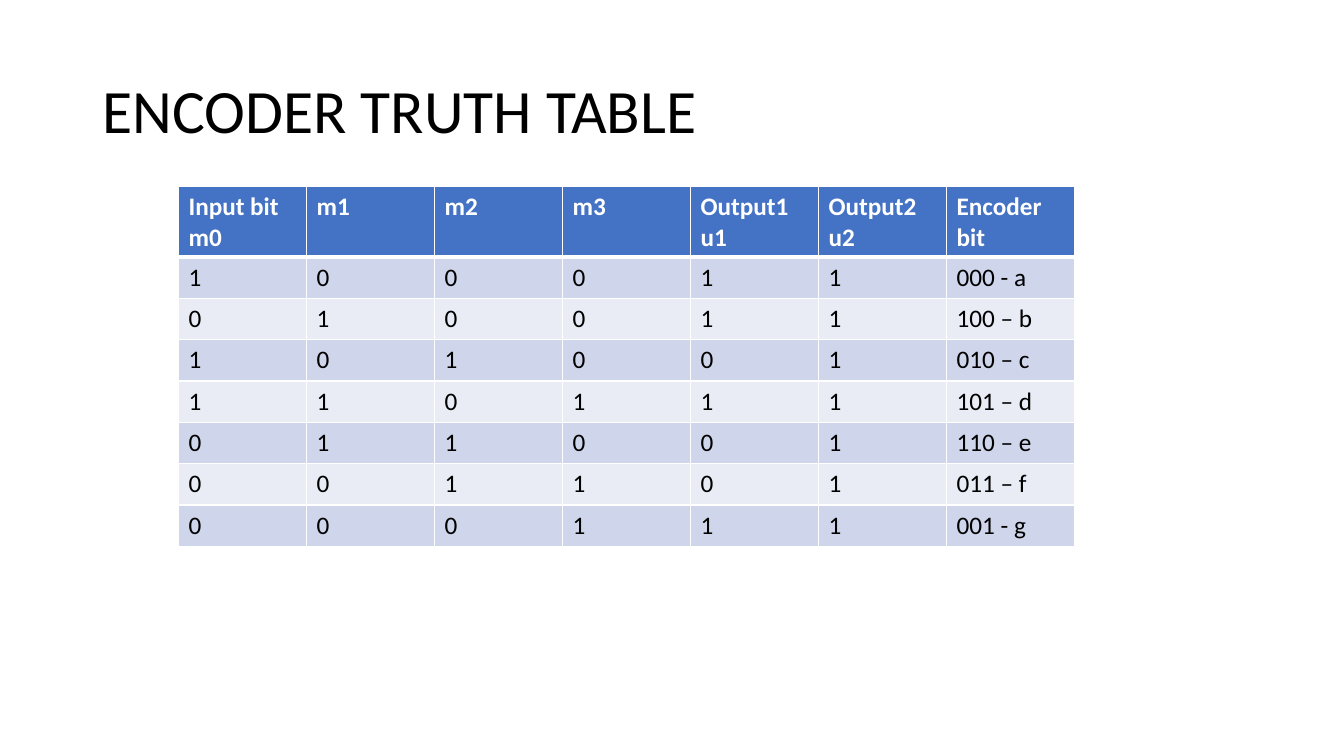
from lxml import etree
from pptx import Presentation
from pptx.dml.color import RGBColor
from pptx.enum import text
from pptx.oxml import ns
from pptx.util import Inches, Pt

FONT = "Calibri"
COLORS = {
    "black": "000000",
    "white": "FFFFFF",
    "header": "4472C4",
    "odd_row": "CFD5EA",
    "even_row": "E9EBF5",
}
HEADINGS = ["Input bit m0", "m1", "m2", "m3", "Output1 u1", "Output2\nu2", "Encoder bit"]
STATES = [
    ("100011", "000 - a"),
    ("010011", "100 – b"),
    ("101001", "010 – c"),
    ("110111", "101 – d"),
    ("011001", "110 – e"),
    ("001101", "011 – f"),
    ("000111", "001 - g"),
]
COLUMN_WIDTH = 1.27
HEADER_HEIGHT = 0.7
ROW_HEIGHT = 0.41


def color(name):
    """Return the named colour."""
    return RGBColor.from_string(COLORS[name])


def write_text(frame, content, size=18, color_name="black", bold=False, line_spacing=None):
    """Fill a text frame, one paragraph for each line of content."""
    frame.text = content
    for paragraph in frame.paragraphs:
        paragraph.line_spacing = line_spacing
        for run in paragraph.runs:
            run.font.name = FONT
            run.font.size = Pt(size)
            run.font.bold = bold
            run.font.color.rgb = color(color_name)


def set_borders(cell, top=1, bottom=1):
    """Draw white cell borders with the given top and bottom widths in points."""
    properties = cell._tc.get_or_add_tcPr()
    for edge, width in (("L", 1), ("R", 1), ("T", top), ("B", bottom)):
        line = etree.SubElement(properties, ns.qn(f"a:ln{edge}"), w=str(Pt(width)))
        fill = etree.SubElement(line, ns.qn("a:solidFill"))
        etree.SubElement(fill, ns.qn("a:srgbClr"), val=COLORS["white"])


def add_title(slide, content):
    """Add the slide title, centred vertically in its box."""
    shape = slide.shapes.add_textbox(Inches(0.92), Inches(0.4), Inches(11.5), Inches(1.45))
    frame = shape.text_frame
    frame.word_wrap = True
    frame.vertical_anchor = text.MSO_ANCHOR.MIDDLE
    write_text(frame, content, size=44, line_spacing=0.9)


def add_truth_table(slide):
    """Add the truth table with a header row and banded state rows."""
    rows = [HEADINGS] + [[*bits, state] for bits, state in STATES]
    width = COLUMN_WIDTH * len(HEADINGS)
    height = HEADER_HEIGHT + ROW_HEIGHT * len(STATES)
    table = slide.shapes.add_table(
        len(rows), len(HEADINGS), Inches(1.77), Inches(1.85), Inches(width), Inches(height)
    ).table
    for column in table.columns:
        column.width = Inches(COLUMN_WIDTH)
    for index, values in enumerate(rows):
        is_header = index == 0
        table.rows[index].height = Inches(HEADER_HEIGHT if is_header else ROW_HEIGHT)
        band = "header" if is_header else "odd_row" if index % 2 else "even_row"
        for cell, value in zip(table.rows[index].cells, values):
            set_borders(cell, top=3 if index == 1 else 1, bottom=3 if is_header else 1)
            cell.fill.solid()
            cell.fill.fore_color.rgb = color(band)
            write_text(
                cell.text_frame,
                value,
                color_name="white" if is_header else "black",
                bold=is_header,
            )


def main():
    """Build and save the slide."""
    presentation = Presentation()
    presentation.slide_width = Inches(13.33)
    presentation.slide_height = Inches(7.5)
    slide = presentation.slides.add_slide(presentation.slide_layouts[6])
    add_title(slide, "ENCODER TRUTH TABLE")
    add_truth_table(slide)
    presentation.save("out.pptx")


if __name__ == "__main__":
    main()
